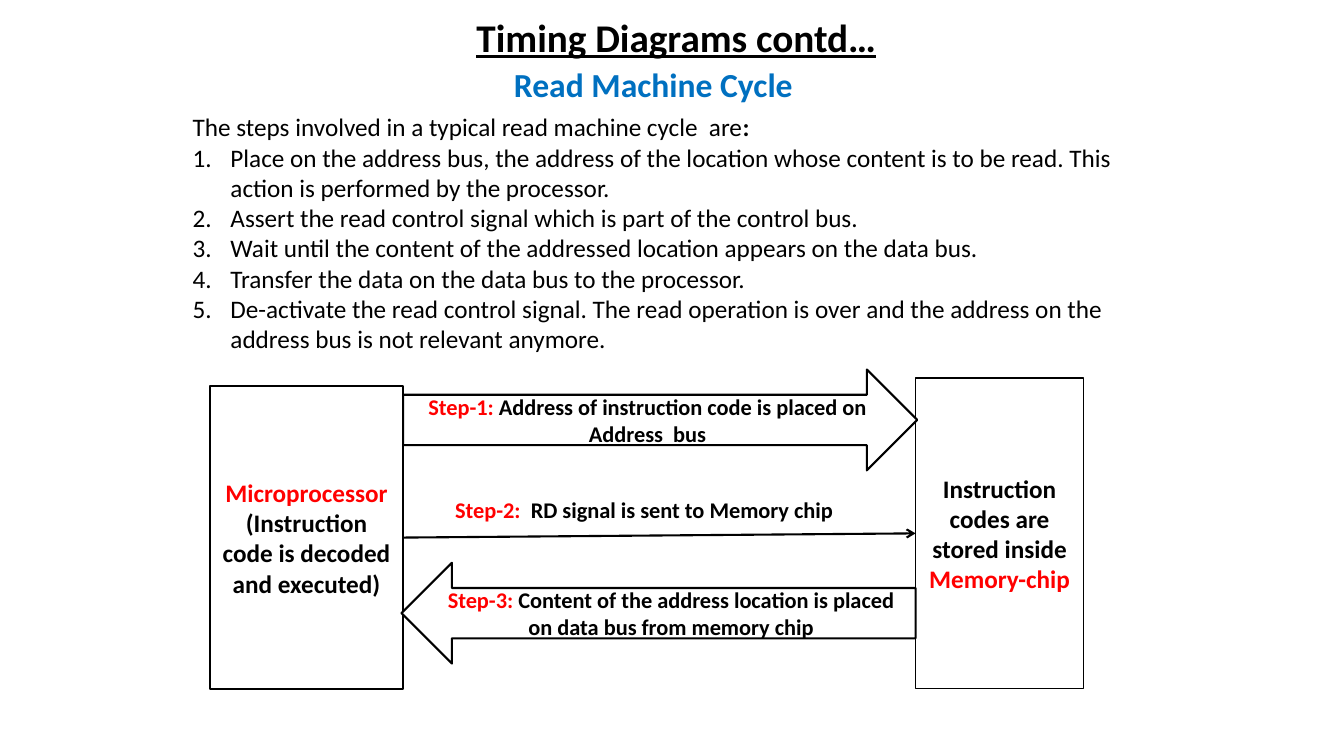
from lxml.etree import SubElement
from pptx import Presentation
from pptx.dml.color import RGBColor
from pptx.enum.shapes import MSO_CONNECTOR, MSO_SHAPE
from pptx.enum.text import MSO_ANCHOR, PP_ALIGN
from pptx.oxml.ns import qn
from pptx.util import Pt

BLACK = RGBColor(0x00, 0x00, 0x00)
WHITE = RGBColor(0xFF, 0xFF, 0xFF)
RED = RGBColor(0xFF, 0x00, 0x00)
BLUE = RGBColor(0x00, 0x70, 0xC0)
FONT = "Calibri"

INTRO = [("The steps involved in a typical read machine cycle  are", BLACK, False),
         (":", BLACK, True)]
STEPS = [
    "Place on the address bus, the address of the location whose content is to be read. "
    "This action is performed by the processor.",
    "Assert the read control signal which is part of the control bus.",
    "Wait until the content of the addressed location appears on the data bus.",
    "Transfer the data on the data bus to the processor.",
    "De-activate the read control signal. The read operation is over and the address on the "
    "address bus is not relevant anymore.",
]


def write_spans(para, spans, size, align=PP_ALIGN.LEFT):
    """Fill a paragraph with (text, colour, bold) spans."""
    para.alignment = align
    for text, colour, bold in spans:
        span = para.add_run()
        span.text = text
        span.font.name = FONT
        span.font.size = Pt(size)
        span.font.bold = bold
        span.font.color.rgb = colour


def write_paragraphs(frame, paragraphs, size, align=PP_ALIGN.LEFT):
    for index, spans in enumerate(paragraphs):
        para = frame.add_paragraph() if index else frame.paragraphs[0]
        write_spans(para, spans, size, align)


def number_paragraph(para, indent=27):
    properties = para._p.get_or_add_pPr()
    properties.set("marL", str(Pt(indent)))
    properties.set("indent", str(-Pt(indent)))
    SubElement(properties, qn("a:buFont"), typeface="+mj-lt")
    SubElement(properties, qn("a:buAutoNum"), type="arabicPeriod")


def add_title(slide, text, left, top, width, height):
    title = slide.shapes.title
    title.left, title.top, title.width, title.height = map(Pt, (left, top, width, height))
    frame = title.text_frame
    frame.vertical_anchor = MSO_ANCHOR.TOP
    write_paragraphs(frame, [[(text, BLACK, True)]], 28, PP_ALIGN.CENTER)
    frame.paragraphs[0].runs[0].font.underline = True


def add_text(slide, paragraphs, size, left, top, width, height, wrap=True):
    box = slide.shapes.add_textbox(Pt(left), Pt(top), Pt(width), Pt(height))
    box.text_frame.word_wrap = wrap
    write_paragraphs(box.text_frame, paragraphs, size)
    return box


def add_block(slide, kind, paragraphs, size, line_width, left, top, width, height):
    block = slide.shapes.add_shape(kind, Pt(left), Pt(top), Pt(width), Pt(height))
    block.shadow.inherit = False
    block.fill.solid()
    block.fill.fore_color.rgb = WHITE
    block.line.color.rgb = BLACK
    block.line.width = Pt(line_width)
    block.text_frame.word_wrap = True
    block.text_frame.vertical_anchor = MSO_ANCHOR.MIDDLE
    write_paragraphs(block.text_frame, paragraphs, size, PP_ALIGN.CENTER)


def add_signal(slide, start_x, start_y, end_x, end_y):
    signal = slide.shapes.add_connector(
        MSO_CONNECTOR.STRAIGHT, Pt(start_x), Pt(start_y), Pt(end_x), Pt(end_y))
    signal.line.color.rgb = BLACK
    signal.line.width = Pt(1.5)
    SubElement(signal.line._get_or_add_ln(), qn("a:tailEnd"), type="arrow")
    SubElement(signal._element.spPr, qn("a:effectLst"))


def main():
    deck = Presentation()
    deck.slide_width, deck.slide_height = Pt(960), Pt(540)
    slide = deck.slides.add_slide(deck.slide_layouts[5])

    # Headings
    add_title(slide, "Timing Diagrams contd…", 150, 6, 666, 41)
    add_text(slide, [[("Read Machine Cycle", BLUE, True)]], 24, 360, 42, 216, 36, wrap=False)

    # Numbered steps
    steps = add_text(slide, [INTRO] + [[(step, BLACK, False)] for step in STEPS],
                     18, 130.5, 76.3, 702, 181.4)
    for para in steps.text_frame.paragraphs[1:]:
        number_paragraph(para)

    # Processor and memory
    processor = [[("Microprocessor", RED, True)],
                 [("(Instruction code is decoded and executed)", BLACK, True)]]
    memory = [[("Instruction codes are stored inside ", BLACK, True),
               ("Memory-chip", RED, True)]]
    add_block(slide, MSO_SHAPE.RECTANGLE, processor, 18, 1, 150, 275.75, 138, 216.5)
    add_block(slide, MSO_SHAPE.RECTANGLE, memory, 18, 1, 654, 270, 120, 222)

    # Bus transfers and read signal
    address = [[("Step-1: ", RED, True),
                ("Address of instruction code is placed on Address  bus", BLACK, True)]]
    read = [[("Step-2:  ", RED, True), ("RD signal is sent to Memory chip", BLACK, True)]]
    content = [[("Step-3: ", RED, True),
                ("Content of the address location is placed on data bus from memory chip",
                 BLACK, True)]]
    add_block(slide, MSO_SHAPE.RIGHT_ARROW, address, 16, 1.5, 288, 264, 367.2, 72)
    add_signal(slide, 288, 384, 654, 381)
    add_text(slide, read, 16, 318, 350.8, 324, 26.6)
    add_block(slide, MSO_SHAPE.LEFT_ARROW, content, 16, 1.5, 286.8, 402, 367.2, 72)

    deck.save("out.pptx")


if __name__ == "__main__":
    main()
